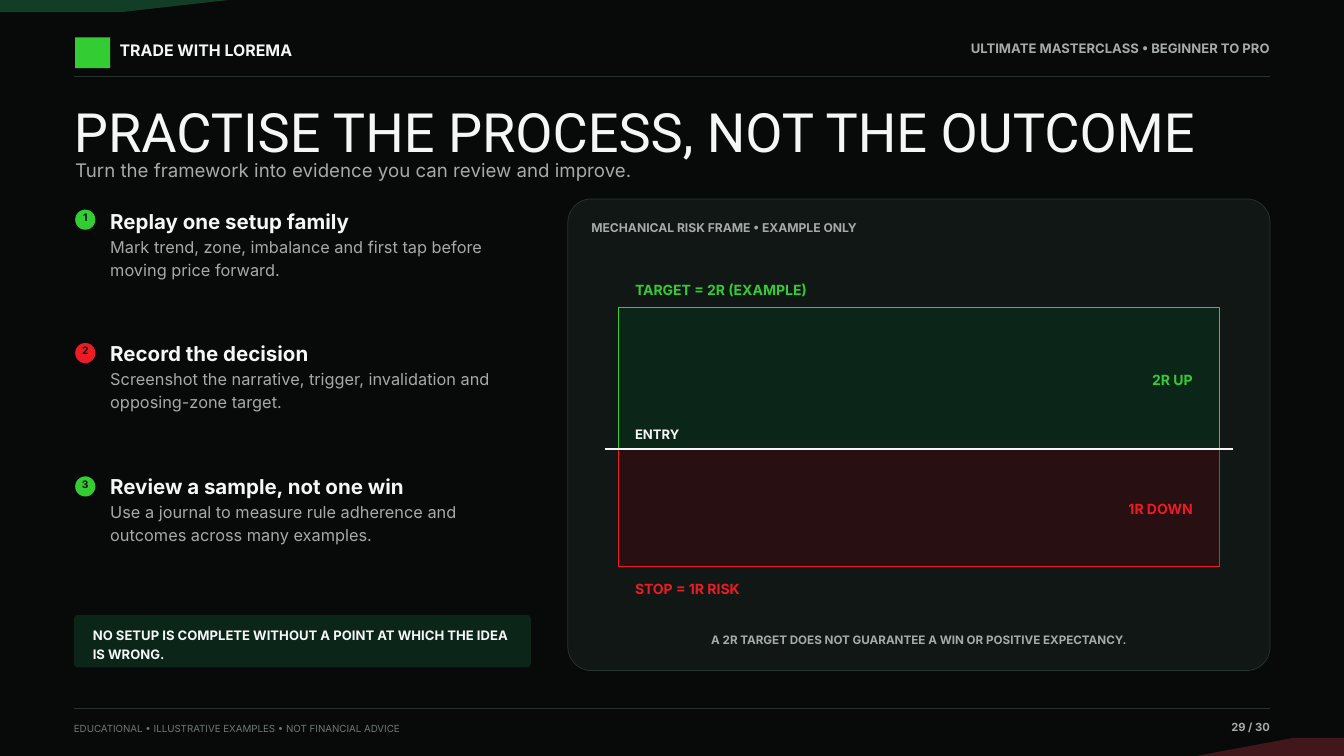
from pptx import Presentation
from pptx.dml.color import RGBColor
from pptx.enum.shapes import MSO_CONNECTOR, MSO_SHAPE
from pptx.enum.text import MSO_ANCHOR, MSO_AUTO_SIZE, PP_ALIGN
from pptx.oxml.ns import qn
from pptx.util import Pt

INK = RGBColor(0x07, 0x0A, 0x09)
WHITE = RGBColor(0xF5, 0xF7, 0xF6)
GREY = RGBColor(0xA6, 0xAA, 0xA8)
DIM = RGBColor(0x6F, 0x78, 0x73)
RULE = RGBColor(0x28, 0x33, 0x2E)
PANEL = RGBColor(0x11, 0x17, 0x15)
GREEN = RGBColor(0x33, 0xCC, 0x33)
RED = RGBColor(0xED, 0x1C, 0x24)
DARK_GREEN = RGBColor(0x0C, 0x25, 0x19)
DARK_RED = RGBColor(0x28, 0x0F, 0x12)
CORNER_GREEN = RGBColor(0x12, 0x3D, 0x26)
CORNER_RED = RGBColor(0x42, 0x17, 0x1B)

WIDTH, HEIGHT = 1440, 810
LEFT, RIGHT = 79.2, 1360.8
STEP_TOP, STEP_PITCH = 218.9, 142.9
ZONE_LEFT, ZONE_WIDTH = 662.4, 644.4
TARGET_Y, ENTRY_Y, STOP_Y = 329, 481, 607

STEPS = [
    (GREEN, "Replay one setup family",
     ["Mark trend, zone, imbalance and first tap before", "moving price forward."]),
    (RED, "Record the decision",
     ["Screenshot the narrative, trigger, invalidation and", "opposing-zone target."]),
    (GREEN, "Review a sample, not one win",
     ["Use a journal to measure rule adherence and", "outcomes across many examples."]),
]


def setup_frame(tf, margins=(0, 0, 0, 0), anchor=MSO_ANCHOR.TOP):
    tf.word_wrap = True
    tf.auto_size = MSO_AUTO_SIZE.NONE
    tf.vertical_anchor = anchor
    tf.margin_left, tf.margin_top, tf.margin_right, tf.margin_bottom = map(Pt, margins)


def write(p, text, size, color, bold=False, align=PP_ALIGN.LEFT, font="Inter",
          spacing=1.18, before=0):
    p.alignment = align
    p.line_spacing = spacing
    p.space_before = Pt(before)
    r = p.add_run()
    r.text = text
    r.font.name = font
    r.font.size = Pt(size)
    r.font.bold = bold
    r.font.color.rgb = color


def next_paragraph(tf):
    """Return the empty first paragraph, or a new one once it is used."""
    first = tf.paragraphs[0]
    return tf.add_paragraph() if first.runs else first


def place(sp, x, y, w, h):
    sp.left, sp.top, sp.width, sp.height = Pt(x), Pt(y), Pt(w), Pt(h)


def add_label(s, x, y, w, h, text, size, color, bold=True, align=PP_ALIGN.LEFT):
    tf = s.shapes.add_textbox(Pt(x), Pt(y), Pt(w), Pt(h)).text_frame
    setup_frame(tf)
    write(tf.paragraphs[0], text, size, color, bold, align)


def paint(sp, fill, line=None, line_width=0.8):
    sp.shadow.inherit = False
    sp.fill.solid()
    sp.fill.fore_color.rgb = fill
    if line is None:
        sp.line.fill.background()
    else:
        sp.line.color.rgb = line
        sp.line.width = Pt(line_width)


def add_box(s, kind, x, y, w, h, fill, line=None, line_width=0.8, radius=None):
    sp = s.shapes.add_shape(kind, Pt(x), Pt(y), Pt(w), Pt(h))
    if radius is not None:
        sp.adjustments[0] = radius
    paint(sp, fill, line, line_width)
    return sp


def add_rule(s, x1, x2, y, color, width):
    line = s.shapes.add_connector(MSO_CONNECTOR.STRAIGHT, Pt(x1), Pt(y), Pt(x2), Pt(y))
    line.line.color.rgb = color
    line.line.width = Pt(width)
    sp_pr = line._element.spPr
    sp_pr.append(sp_pr.makeelement(qn("a:effectLst"), {}))


def add_corner(s, points, fill):
    start, *rest = [(Pt(x), Pt(y)) for x, y in points]
    builder = s.shapes.build_freeform(*start)
    builder.add_line_segments(rest, close=True)
    paint(builder.convert_to_shape(), fill)


def remove_bullet(p):
    p_pr = p._p.get_or_add_pPr()
    p_pr.set("marL", "0")
    p_pr.set("indent", "0")
    p_pr.append(p_pr.makeelement(qn("a:buNone"), {}))


def add_frame(s):
    """Corner accents, header and footer."""
    add_corner(s, [(0, 0), (244.8, 0), (129.6, 13), (0, 13)], CORNER_GREEN)
    add_corner(s, [(WIDTH, HEIGHT), (1281.6, HEIGHT), (1386, 790.6), (WIDTH, 790.6)],
               CORNER_RED)
    add_box(s, MSO_SHAPE.RECTANGLE, 80.6, 40, 37.5, 33, GREEN)
    add_label(s, 128.2, 40.3, 280.8, 24.5, "TRADE WITH LOREMA", 17, WHITE)
    add_label(s, 1008, 40.3, 352.8, 23, "ULTIMATE MASTERCLASS • BEGINNER TO PRO",
              14, GREY, align=PP_ALIGN.RIGHT)
    for y in (81.4, 758.9):
        add_rule(s, LEFT, RIGHT, y, RULE, 0.8)
    add_label(s, LEFT, 771.8, 576, 18,
              "EDUCATIONAL • ILLUSTRATIVE EXAMPLES • NOT FINANCIAL ADVICE",
              10.5, DIM, bold=False)
    add_label(s, 1238.4, 769, 122.4, 20, "29 / 30", 12, GREY, align=PP_ALIGN.RIGHT)


def add_heading(s):
    title = s.shapes.title
    place(title, LEFT, 105.1, RIGHT - LEFT, 63.4)
    setup_frame(title.text_frame)
    write(title.text_frame.paragraphs[0], "PRACTISE THE PROCESS, NOT THE OUTCOME",
          58, WHITE, font="Roboto", spacing=1)
    add_label(s, 80.6, 165.6, 1238.4, 31,
              "Turn the framework into evidence you can review and improve.",
              20, GREY, bold=False)


def add_steps(s):
    body = s.placeholders[1]
    place(body, 118.1, STEP_TOP, 448.6, 3 * STEP_PITCH)
    tf = body.text_frame
    setup_frame(tf)
    for i, (color, heading, lines) in enumerate(STEPS):
        p = next_paragraph(tf)
        remove_bullet(p)
        write(p, heading, 22, WHITE, bold=True, before=61.5 if i else 0)
        for line in lines:
            p = next_paragraph(tf)
            remove_bullet(p)
            write(p, line, 17.5, GREY)

        badge = add_box(s, MSO_SHAPE.OVAL, 80.6, STEP_TOP + 5.7 + i * STEP_PITCH,
                        21.6, 21.6, color)
        setup_frame(badge.text_frame, (0, 0, 0, 5), MSO_ANCHOR.MIDDLE)
        write(badge.text_frame.paragraphs[0], str(i + 1), 11, INK, bold=True,
              align=PP_ALIGN.CENTER, spacing=1)


def add_callout(s):
    sp = add_box(s, MSO_SHAPE.ROUNDED_RECTANGLE, LEFT, 658.8, 489.6, 56.2,
                 DARK_GREEN, radius=0.08)
    tf = sp.text_frame
    setup_frame(tf, (19, 9.5, 0, 0))
    for line in ("NO SETUP IS COMPLETE WITHOUT A POINT AT WHICH THE IDEA", "IS WRONG."):
        write(next_paragraph(tf), line, 14, WHITE, bold=True)


def add_risk_frame(s):
    add_box(s, MSO_SHAPE.ROUNDED_RECTANGLE, 608.4, 213.1, 752.4, 505.4,
            PANEL, RULE, radius=0.05)
    add_label(s, 633.6, 233.3, 702, 23, "MECHANICAL RISK FRAME • EXAMPLE ONLY", 13, GREY)
    for top, bottom, fill, line in ((ENTRY_Y, STOP_Y, DARK_RED, RED),
                                    (TARGET_Y, ENTRY_Y, DARK_GREEN, GREEN)):
        add_box(s, MSO_SHAPE.RECTANGLE, ZONE_LEFT, top, ZONE_WIDTH, bottom - top,
                fill, line, 0.9)
    add_rule(s, 648, 1321.2, ENTRY_Y, WHITE, 1.4)
    for y, text, size, color in ((453.6, "ENTRY", 14, WHITE),
                                 (618.5, "STOP = 1R RISK", 15, RED),
                                 (298.8, "TARGET = 2R (EXAMPLE)", 15, GREEN)):
        add_label(s, 680.4, y, 302.4, 22, text, size, color)
    for y, text, color in ((533.5, "1R DOWN", RED), (394.6, "2R UP", GREEN)):
        add_label(s, 1126.8, y, 151.2, 23, text, 15, color, align=PP_ALIGN.RIGHT)
    add_label(s, ZONE_LEFT, 675.4, ZONE_WIDTH, 22,
              "A 2R TARGET DOES NOT GUARANTEE A WIN OR POSITIVE EXPECTANCY.",
              12.5, GREY, align=PP_ALIGN.CENTER)


def main():
    prs = Presentation()
    prs.slide_width, prs.slide_height = Pt(WIDTH), Pt(HEIGHT)
    s = prs.slides.add_slide(prs.slide_layouts[1])
    s.background.fill.solid()
    s.background.fill.fore_color.rgb = INK
    add_frame(s)
    add_heading(s)
    add_steps(s)
    add_callout(s)
    add_risk_frame(s)
    prs.save("out.pptx")


if __name__ == "__main__":
    main()
